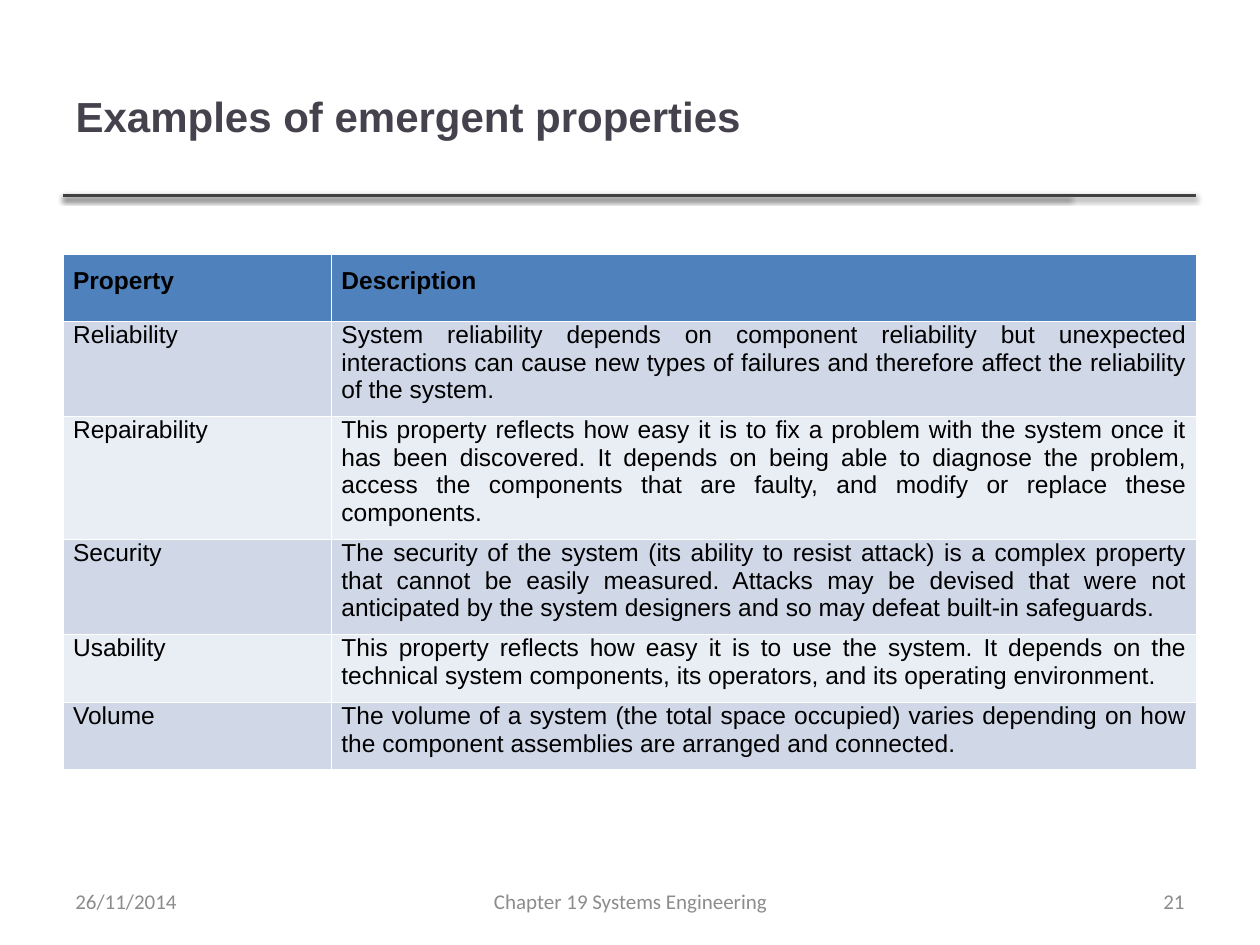
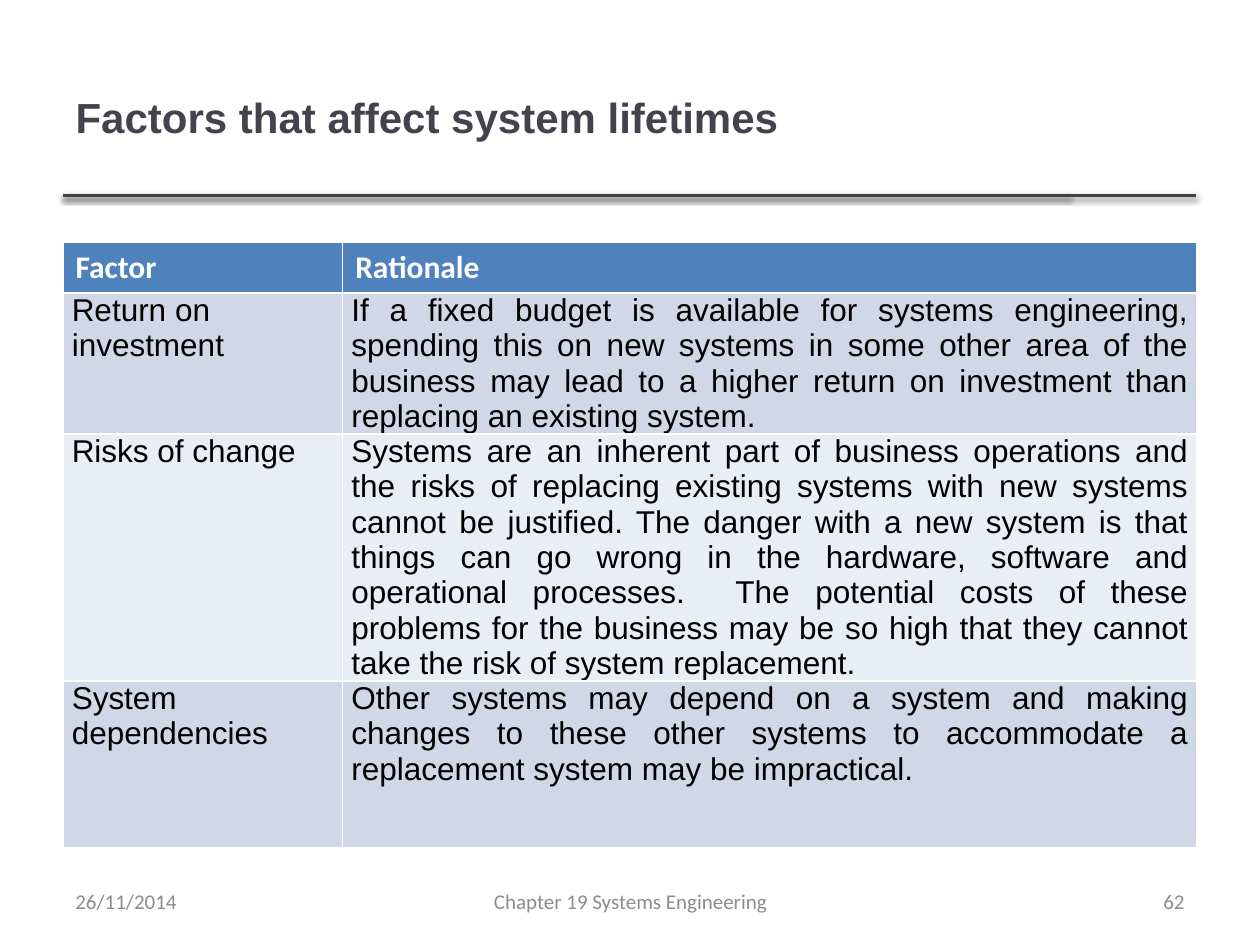
from dataclasses import dataclass

from lxml.etree import fromstring
from pptx import Presentation
from pptx.dml.color import RGBColor
from pptx.enum.shapes import MSO_CONNECTOR
from pptx.enum.text import MSO_ANCHOR, PP_ALIGN
from pptx.util import Inches, Pt


@dataclass(frozen=True)
class Theme:
    title: str = "46424D"
    rule: str = "404040"
    footer: str = "8C8C8C"
    header: str = "4F81BD"
    bands: tuple = ("D0D8E8", "E9EDF4")
    black: str = "000000"
    white: str = "FFFFFF"
    heading_font: str = "Arial"
    footer_font: str = "Calibri"
    title_size: int = 24
    footer_size: int = 12


THEME = Theme()
LEFT, WIDTH = 0.5, 9
RULE_TOP, RULE_ENDS = 1.55, (8.49, 9.49)
FOOTER_TOP, FOOTER_HEIGHT = 6.95, 0.4
DATE = "26/11/2014"
CHAPTER = "Chapter 19 Systems Engineering"

SLIDES = [
    {
        "title": "Examples of emergent properties",
        "title_box": (LEFT, 0.29, WIDTH, 1.25),
        "number": "21",
        "table_top": 2.02,
        "table_height": 4.3,
        "columns": (2.13, 6.87),
        "row_heights": (0.53, 0.41, 0.41, 0.41, 0.41, 0.41),
        "size": 14,
        "header_style": ("Arial", THEME.black),
        "header_insets": (0.08, 0.1),
        "body_insets": (0.08, 0, 0.1),
        "alignments": {"header": PP_ALIGN.JUSTIFY, "label": PP_ALIGN.JUSTIFY},
        "rows": [
            ("Property", "Description"),
            ("Reliability",
             "System reliability depends on component reliability but unexpected "
             "interactions can cause new types of failures and therefore affect "
             "the reliability of the system."),
            ("Repairability",
             "This property reflects how easy it is to fix a problem with the "
             "system once it has been discovered. It depends on being able to "
             "diagnose the problem, access the components that are faulty, and "
             "modify or replace these components."),
            ("Security",
             "The security of the system (its ability to resist attack) is a "
             "complex property that cannot be easily measured. Attacks may be "
             "devised that were not anticipated by the system designers and so "
             "may defeat built-in safeguards."),
            ("Usability",
             "This property reflects how easy it is to use the system. It depends "
             "on the technical system components, its operators, and its "
             "operating environment."),
            ("Volume",
             "The volume of a system (the total space occupied) varies depending "
             "on how the component assemblies are arranged and connected."),
        ],
    },
    {
        "title": "Factors that affect system lifetimes",
        "title_box": (LEFT, 0.3, 7.98, 1.25),
        "number": "62",
        "table_top": 1.92,
        "table_height": 5.02,
        "columns": (2.22, 6.78),
        "row_heights": (0.38, 0.96, 1.51, 1.32),
        "size": 18,
        "header_style": ("Calibri", THEME.white),
        "header_insets": (0.1, 0.05),
        "body_insets": (0.07, 0, 0),
        "alignments": {"header": PP_ALIGN.LEFT, "label": PP_ALIGN.LEFT},
        "rows": [
            ("Factor", "Rationale"),
            ("Return on investment",
             "If a fixed budget is available for systems engineering, spending "
             "this on new systems in some other area of the business may lead to "
             "a higher return on investment than replacing an existing system."),
            ("Risks of change",
             "Systems are an inherent part of business operations and the risks "
             "of replacing existing systems with new systems cannot be justified. "
             "The danger with a new system is that things can go wrong in the "
             "hardware, software and operational processes.  The potential costs "
             "of these problems for the business may be so high that they cannot "
             "take the risk of system replacement."),
            ("System dependencies",
             "Other systems may depend on a system and making changes to these "
             "other systems to accommodate a replacement system may be "
             "impractical."),
        ],
    },
]

RULE_SHADOW = (
    '<a:effectLst xmlns:a="http://schemas.openxmlformats.org/drawingml/2006/main">'
    '<a:outerShdw blurRad="40000" dist="20000" dir="5400000" rotWithShape="0">'
    '<a:srgbClr val="000000"><a:alpha val="38000"/></a:srgbClr>'
    "</a:outerShdw></a:effectLst>"
)


def write(frame, text, font, size, color, alignment=PP_ALIGN.LEFT, bold=False):
    frame.text = text
    paragraph = frame.paragraphs[0]
    paragraph.alignment = alignment
    for run in paragraph.runs:
        run.font.name = font
        run.font.size = Pt(size)
        run.font.bold = bold
        run.font.color.rgb = RGBColor.from_string(color)


def add_rules(slide):
    top = Inches(RULE_TOP)
    for end in RULE_ENDS:
        rule = slide.shapes.add_connector(
            MSO_CONNECTOR.STRAIGHT, Inches(LEFT), top, Inches(end), top)
        rule.line.color.rgb = RGBColor.from_string(THEME.rule)
        rule.line.width = Pt(2)
        rule.element.spPr.append(fromstring(RULE_SHADOW))


def add_title(slide, content):
    title = slide.shapes.title
    title.left, title.top, title.width, title.height = map(
        Inches, content["title_box"])
    title.text_frame.vertical_anchor = MSO_ANCHOR.MIDDLE
    write(title.text_frame, content["title"], THEME.heading_font,
          THEME.title_size, THEME.title, bold=True)


def add_footers(slide, number):
    footers = [
        (DATE, LEFT, 2.33, PP_ALIGN.LEFT),
        (CHAPTER, 3.42, 3.17, PP_ALIGN.CENTER),
        (number, 7.17, 2.33, PP_ALIGN.RIGHT),
    ]
    for text, left, width, alignment in footers:
        footer = slide.shapes.add_textbox(
            Inches(left), Inches(FOOTER_TOP), Inches(width), Inches(FOOTER_HEIGHT))
        footer.text_frame.word_wrap = True
        footer.text_frame.vertical_anchor = MSO_ANCHOR.MIDDLE
        write(footer.text_frame, text, THEME.footer_font, THEME.footer_size,
              THEME.footer, alignment)


def format_cell(cell, text, row, column, content):
    if row == 0:
        side, top = content["header_insets"]
        bottom = top
        font, color = content["header_style"]
        fill = THEME.header
        alignment = content["alignments"]["header"]
    else:
        side, top, bottom = content["body_insets"]
        font, color = THEME.heading_font, THEME.black
        fill = THEME.bands[(row - 1) % 2]
        alignment = PP_ALIGN.JUSTIFY if column else content["alignments"]["label"]
    cell.margin_left = cell.margin_right = Inches(side)
    cell.margin_top, cell.margin_bottom = Inches(top), Inches(bottom)
    cell.fill.solid()
    cell.fill.fore_color.rgb = RGBColor.from_string(fill)
    write(cell.text_frame, text, font, content["size"], color, alignment,
          bold=row == 0)


def add_properties(slide, content):
    rows = content["rows"]
    height = Inches(content["table_height"])
    frame = slide.shapes.add_table(
        len(rows), len(rows[0]), Inches(LEFT), Inches(content["table_top"]),
        Inches(WIDTH), height)
    table = frame.table
    for column, width in zip(table.columns, content["columns"]):
        column.width = Inches(width)
    for row, row_height in zip(table.rows, content["row_heights"]):
        row.height = Inches(row_height)
    frame.height = height
    for row, texts in enumerate(rows):
        for column, text in enumerate(texts):
            format_cell(table.cell(row, column), text, row, column, content)


def main():
    deck = Presentation()
    deck.slide_width, deck.slide_height = Inches(10), Inches(7.5)
    title_only = deck.slide_layouts[5]
    for content in SLIDES:
        slide = deck.slides.add_slide(title_only)
        add_rules(slide)
        add_title(slide, content)
        add_properties(slide, content)
        add_footers(slide, content["number"])
    deck.save("out.pptx")


if __name__ == "__main__":
    main()
